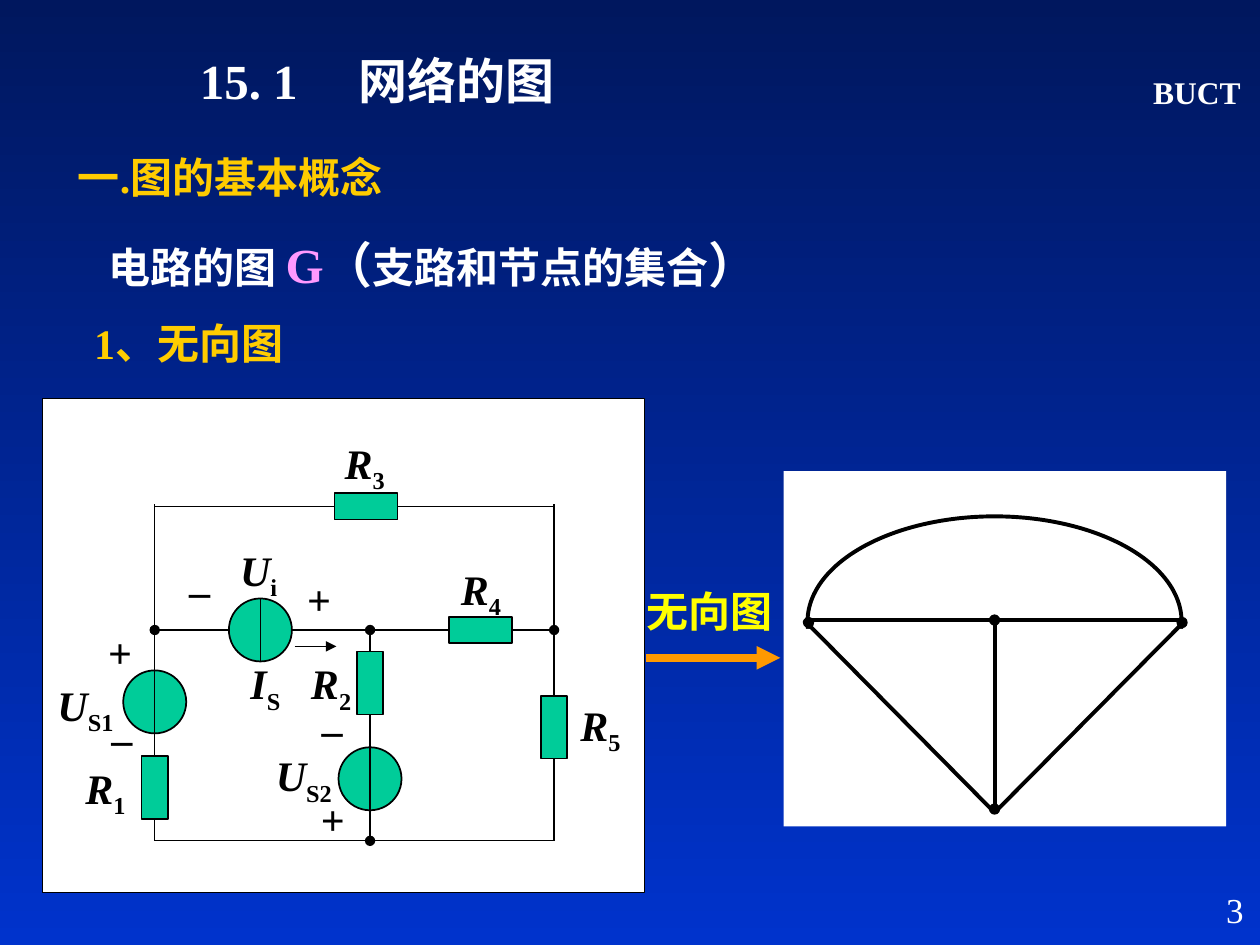
from lxml import etree
from pptx import Presentation
from pptx.dml.color import RGBColor
from pptx.enum.shapes import MSO_CONNECTOR, MSO_SHAPE
from pptx.enum.text import PP_ALIGN
from pptx.oxml.ns import qn
from pptx.util import Cm, Pt

RECTANGLE, OVAL = MSO_SHAPE.RECTANGLE, MSO_SHAPE.OVAL
STRAIGHT = MSO_CONNECTOR.STRAIGHT
LEFT, CENTER, RIGHT = PP_ALIGN.LEFT, PP_ALIGN.CENTER, PP_ALIGN.RIGHT
FONT = "Times New Roman"
BLACK, WHITE, GREEN, GOLD = "000000", "FFFFFF", "00CC99", "FFCC00"


def color(value):
    """Turn a hex string into a colour."""
    return RGBColor.from_string(value)


def add_shape(slide, kind, box, fill=None, line=None, width=1):
    """Add a preset shape with the given fill and outline."""
    shape = slide.shapes.add_shape(kind, *map(Cm, box))
    shape.shadow.inherit = False
    if fill:
        shape.fill.solid()
        shape.fill.fore_color.rgb = color(fill)
    else:
        shape.fill.background()
    if line:
        shape.line.color.rgb = color(line)
        shape.line.width = Pt(width)
    else:
        shape.line.fill.background()


def add_centered(slide, kind, center, size, fill, width=1):
    """Add a black-outlined preset shape around a centre point."""
    box = (center[0] - size[0] / 2, center[1] - size[1] / 2, *size)
    add_shape(slide, kind, box, fill, BLACK, width)


def add_line(slide, start, end, width=0.75, stroke=BLACK, head=None, tail=None):
    """Add a straight line with optional end marks."""
    connector = slide.shapes.add_connector(STRAIGHT, *map(Cm, (*start, *end)))
    connector.line.color.rgb = color(stroke)
    connector.line.width = Pt(width)
    outline = connector.line._get_or_add_ln()
    for tag, mark in (("a:headEnd", head), ("a:tailEnd", tail)):
        if mark:
            etree.SubElement(outline, qn(tag), type=mark)
    etree.SubElement(connector._element.spPr, qn("a:effectLst"))


def add_text(slide, box, text, size=24, fill=WHITE, align=LEFT, bold=True, wrap=True, tab=None):
    """Add a one-paragraph text box and return its paragraph."""
    frame = slide.shapes.add_textbox(*map(Cm, box)).text_frame
    frame.word_wrap = wrap
    paragraph = frame.paragraphs[0]
    paragraph.alignment = align
    if tab:
        stops = etree.SubElement(paragraph._p.get_or_add_pPr(), qn("a:tabLst"))
        etree.SubElement(stops, qn("a:tab"), pos=str(Cm(tab)), algn="l")
    paragraph.font.name = FONT
    paragraph.font.size = Pt(size)
    paragraph.font.bold = bold
    paragraph.font.color.rgb = color(fill)
    if text:
        paragraph.add_run().text = text
    return paragraph


def add_symbol(slide, box, letter, index):
    """Add an italic letter with an upright subscript."""
    paragraph = add_text(slide, box, letter, fill=BLACK, wrap=False)
    paragraph.runs[0].font.italic = True
    subscript = paragraph.add_run()
    subscript.text = index
    subscript._r.get_or_add_rPr().set("baseline", "-25000")


def draw_background(slide):
    """Fill the background with a vertical blue gradient."""
    fill = slide.background.fill
    fill.gradient()
    fill.gradient_angle = 270
    for stop, value, position in zip(fill.gradient_stops, ("00175E", "0033CC"), (0, 1)):
        stop.color.rgb = color(value)
        stop.position = position


def draw_headings(slide, box):
    """Write the title and the headings below it."""
    left, top, width, _ = box
    add_text(slide, (left + 2.46, top, 18.52, 1.45), "15. 1\t网络的图", 28, tab=3.2)
    add_text(slide, (left, top + 2.03, 9.86, 1.27), "一.图的基本概念", fill=GOLD)
    paragraph = add_text(slide, (left + 0.61, top + 3.71, width, 1.45), "")
    pieces = (("电路的图 ", 24, WHITE), ("G", 28, "FF99FF"), ("（", 28, WHITE),
              ("支路和节点的集合", 24, WHITE), ("）", 28, WHITE))
    for text, size, fill in pieces:
        run = paragraph.add_run()
        run.text = text
        run.font.size = Pt(size)
        run.font.color.rgb = color(fill)
    add_text(slide, (left + 0.33, top + 5.38, 7.39, 1.27), "1、无向图", fill=GOLD)


def draw_circuit(slide, box):
    """Draw the circuit diagram on its white panel."""
    left, top = box[:2]
    first, second, third = 2.26, 6.6, 10.31
    upper, middle, lower = 2.18, 4.67, 8.92
    source_x = 4.39

    def at(x, y):
        """Shift a point of the panel to the slide."""
        return left + x, top + y

    add_shape(slide, RECTANGLE, box, WHITE, BLACK, 0.75)
    for center in ((second, 7.67), (first, 6.12), (source_x, middle)):
        add_centered(slide, OVAL, at(*center), (1.27, 1.27), GREEN)
    wires = (
        ((source_x, 4.04), (source_x, 5.31), None, None),
        ((3.76, middle), (first, middle), None, "oval"),
        ((5.08, 5), (5.92, 5), None, "triangle"),
        ((first, 2.13), (first, lower), None, None),
        ((5.03, middle), (third, middle), None, "oval"),
        ((second, middle), (second, lower), "oval", "oval"),
        ((first, lower), (third, lower), None, None),
        ((third, lower), (third, 2.13), None, None),
        ((first, upper), (third, upper), None, None),
    )
    for start, end, head, tail in wires:
        add_line(slide, at(*start), at(*end), head=head, tail=tail)
    for center in ((first, 7.85), (second, 5.74), (third, 6.63)):
        add_centered(slide, RECTANGLE, at(*center), (0.53, 1.27), GREEN)
    for center in ((6.52, upper), (8.83, middle)):
        add_centered(slide, RECTANGLE, at(*center), (1.27, 0.53), GREEN)
    symbols = (
        ("U", "S1", 0.05, 5.54), ("U", "S2", 4.45, 6.96), ("U", "i", 3.73, 2.82),
        ("I", "S", 3.94, 5.11), ("R", "1", 0.61, 7.21), ("R", "2", 5.16, 5.11),
        ("R", "3", 5.84, 0.66), ("R", "4", 8.18, 3.2), ("R", "5", 10.59, 5.94),
    )
    for letter, index, x, y in symbols:
        width = 1.65 if len(index) == 2 else 1.4
        add_symbol(slide, (*at(x, y), width, 1.42), letter, index)
    signs = (("_", 5.36, 5.74), ("+", 1.07, 4.47), ("_", 1.12, 5.92),
             ("_", 2.69, 2.95), ("+", 5.08, 3.4), ("+", 5.36, 7.85))
    for sign, x, y in signs:
        add_text(slide, (*at(x, y), 0.95, 1.27), sign, fill=BLACK, align=CENTER, wrap=False)


def draw_arrow(slide, box):
    """Draw the labelled arrow from the circuit to its graph."""
    left, top, width, height = box
    bottom = top + height
    add_line(slide, (left + 0.25, bottom), (left + 2.95, bottom), 4.5, "FF9900", tail="triangle")
    add_text(slide, (left, top, width, 1.27), "无向图", fill="FFFF00")


def draw_graph(slide, box):
    """Draw the undirected graph on its white panel."""
    left, top = box[:2]
    add_shape(slide, RECTANGLE, box, WHITE)
    add_shape(slide, OVAL, (left + 0.48, top + 0.91, 7.54, 4.24), None, BLACK, 2.25)
    add_line(slide, (left + 0.5, top + 3), (left + 8.03, top + 3), 2.25)
    add_shape(slide, RECTANGLE, (left + 0.23, top + 3.18, 8.15, 2.1), WHITE)
    for x in (0.41, 8.1, 4.25):
        add_line(slide, (left + x, top + 3), (left + 4.25, top + 6.88), 2.25)
    for x, y in ((0.5, 3.05), (8.03, 3.05), (4.25, 3), (4.25, 6.81)):
        add_centered(slide, OVAL, (left + x, top + y), (0.2, 0.2), BLACK, 0.75)


def main():
    """Build the slide and save it."""
    presentation = Presentation()
    presentation.slide_width, presentation.slide_height = Cm(25.4), Cm(19.05)
    slide = presentation.slides.add_slide(presentation.slide_layouts[6])
    draw_background(slide)
    add_text(slide, (22.73, 1.34, 2.8, 0.9), "BUCT", 18, align=CENTER, wrap=False)
    draw_headings(slide, (1.32, 0.89, 21.34, 6.65))
    draw_circuit(slide, (0.86, 8.03, 12.14, 9.96))
    draw_graph(slide, (15.8, 9.5, 8.92, 7.16))
    draw_arrow(slide, (12.78, 11.68, 3.33, 1.58))
    add_text(slide, (20.04, 17.78, 5.28, 1.27), "3", 20, align=RIGHT, bold=False)
    presentation.save("out.pptx")


if __name__ == "__main__":
    main()
